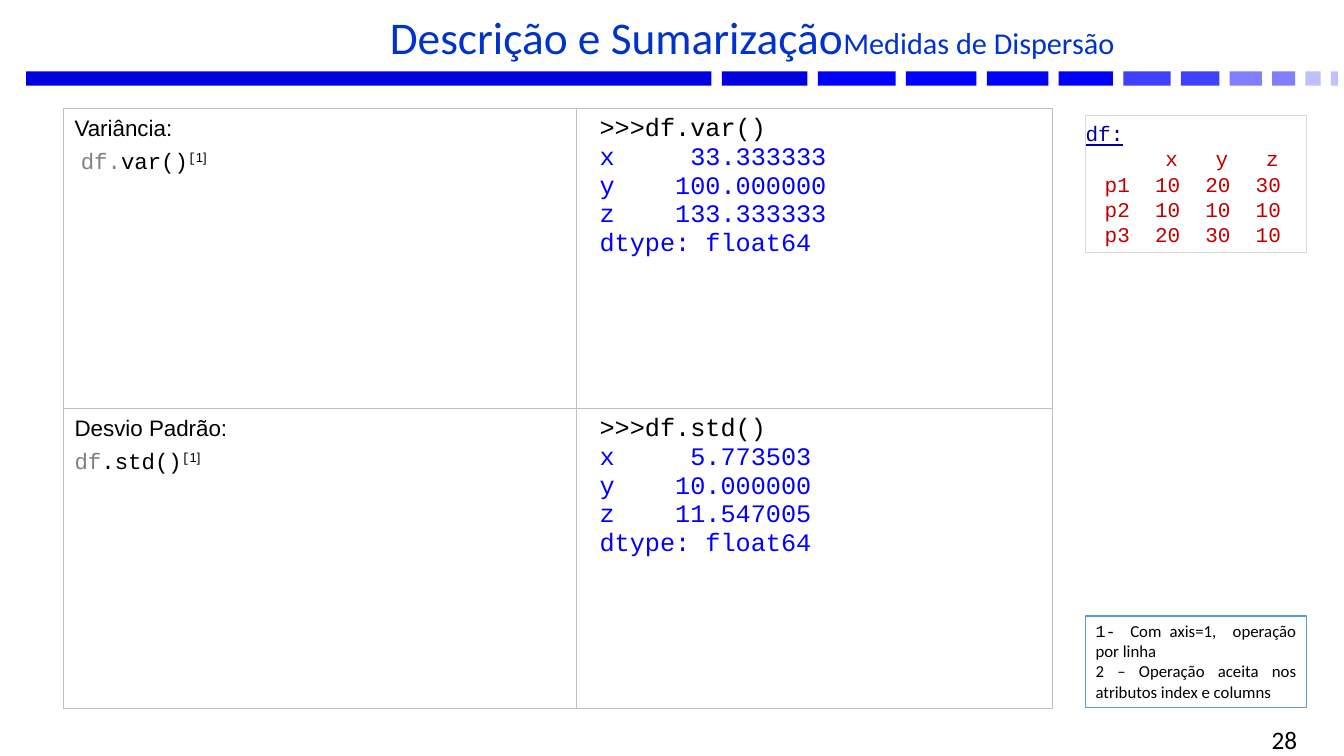
from dataclasses import dataclass, field
from typing import Any

import lxml.etree
import pptx
import pptx.dml.color
import pptx.enum.shapes
import pptx.enum.text
import pptx.oxml.ns
import pptx.util

Cm = pptx.util.Cm
Pt = pptx.util.Pt
Align = pptx.enum.text.PP_ALIGN
Anchor = pptx.enum.text.MSO_ANCHOR
AutoSize = pptx.enum.text.MSO_AUTO_SIZE
RECTANGLE = pptx.enum.shapes.MSO_SHAPE.RECTANGLE
qn = pptx.oxml.ns.qn

BLACK, BLUE, GREY, RED = "000000", "0000FF", "808080", "C00000"
CODE, SANS, BODY = "Courier New", "Arial", "Calibri"


@dataclass
class Span:
    text: str
    size: float
    font: str
    color: str = BLACK
    underline: bool = False
    raised: bool = False


@dataclass
class Para:
    spans: list[Span]
    formats: dict[str, Any] = field(default_factory=dict)
    indent: float = 0


@dataclass
class Bar:
    width: float
    color: str


@dataclass
class Measure:
    label: str
    call: list[Span]
    output: list[str]


@dataclass
class Panel:
    top: float
    height: float
    line: str
    line_width: float
    side_inset: float
    paras: list[Para]
    fill: str = ""


def rgb(color: str) -> pptx.dml.color.RGBColor:
    return pptx.dml.color.RGBColor.from_string(color)


def apply(target: Any, formats: dict[str, Any]) -> None:
    for name, value in formats.items():
        setattr(target, name, value)


def write(frame: Any, paras: list[Para]) -> None:
    for index, item in enumerate(paras):
        para = frame.paragraphs[0] if index == 0 else frame.add_paragraph()
        apply(para, item.formats)
        if item.indent:
            para._p.get_or_add_pPr().set("indent", str(Cm(item.indent)))
        for part in item.spans:
            span = para.add_run()
            span.text = part.text
            apply(span.font, {"size": Pt(part.size), "name": part.font,
                              "underline": part.underline})
            span.font.color.rgb = rgb(part.color)
            if part.raised:
                span._r.get_or_add_rPr().set("baseline", "30000")


def border(cell: Any, color: str, width: float) -> None:
    properties = cell._tc.get_or_add_tcPr()
    for side in ("lnL", "lnR", "lnT", "lnB"):
        line = lxml.etree.SubElement(properties, qn(f"a:{side}"), w=str(Pt(width)))
        fill = lxml.etree.SubElement(line, qn("a:solidFill"))
        lxml.etree.SubElement(fill, qn("a:srgbClr"), val=color)


def draw_bars(page: Any, bars: list[Bar]) -> None:
    left = 0.66
    for bar in bars:
        box = page.shapes.add_shape(RECTANGLE, Cm(left), Cm(1.8), Cm(bar.width), Cm(0.36))
        box.shadow.inherit = False
        box.fill.solid()
        box.fill.fore_color.rgb = rgb(bar.color)
        box.line.fill.background()
        left += bar.width + 0.26


def draw_title(page: Any) -> None:
    title = page.shapes.title
    apply(title, {"left": Cm(4.72), "top": Cm(0.36), "width": Cm(28.47), "height": Cm(1.37)})
    apply(title.text_frame, {"vertical_anchor": Anchor.MIDDLE, "word_wrap": True,
                             "auto_size": AutoSize.NONE})
    write(title.text_frame, [Para(
        [Span("Descrição e Sumarização\t", 32.4, BODY, "0033CC"),
         Span("Medidas de Dispersão", 21.6, BODY, "0033CC")],
        {"alignment": Align.CENTER, "line_spacing": 0.8, "space_before": Pt(6)})])


def draw_number(page: Any) -> None:
    box = page.shapes.add_textbox(Cm(25.04), Cm(18.36), Cm(7.9), Cm(0.56))
    apply(box.text_frame, {"vertical_anchor": Anchor.MIDDLE, "word_wrap": True,
                           "margin_top": 0, "margin_bottom": 0})
    write(box.text_frame, [Para([Span("28", 18, BODY)], {"alignment": Align.RIGHT})])


def draw_measures(page: Any, measures: list[Measure]) -> None:
    widths, height = (12.93, 12.01), 7.56
    table = page.shapes.add_table(len(measures), len(widths), Cm(1.58), Cm(2.72),
                                  Cm(sum(widths)), Cm(height * len(measures))).table
    apply(table, {"first_row": False, "horz_banding": False})
    for column, width in zip(table.columns, widths):
        column.width = Cm(width)
    spaced = {"space_before": Pt(6)}
    note = [Span("[", 16, CODE, raised=True), Span("1]", 16, SANS, raised=True)]
    for row, measure in zip(table.rows, measures):
        row.height = Cm(height)
        prompt, *results = measure.output
        contents = (
            [Para([Span(measure.label, 16, SANS)], spaced), Para(measure.call + note, spaced)],
            [Para([Span(prompt, 18, CODE)])]
            + [Para([Span(text, 18, CODE, BLUE)]) for text in results],
        )
        for cell, paras, inset in zip(row.cells, contents, (0.3, 0.6)):
            border(cell, "BFBFBF", 0.25)
            cell.fill.background()
            apply(cell, {"margin_left": Cm(inset), "margin_top": Cm(0.2),
                         "margin_right": 0, "margin_bottom": 0})
            write(cell.text_frame, paras)


def draw_panel(page: Any, panel: Panel) -> None:
    box = page.shapes.add_shape(RECTANGLE, Cm(27.36), Cm(panel.top), Cm(5.56), Cm(panel.height))
    box.shadow.inherit = False
    if panel.fill:
        box.fill.solid()
        box.fill.fore_color.rgb = rgb(panel.fill)
    else:
        box.fill.background()
    box.line.color.rgb = rgb(panel.line)
    box.line.width = Pt(panel.line_width)
    apply(box.text_frame, {"vertical_anchor": Anchor.TOP, "word_wrap": True,
                           "auto_size": AutoSize.SHAPE_TO_FIT_TEXT,
                           "margin_left": Cm(panel.side_inset),
                           "margin_right": Cm(panel.side_inset)})
    write(box.text_frame, panel.paras)


BARS = [Bar(17.27, "0000E0"), Bar(2.16, "0000E0"), Bar(1.96, BLUE), Bar(1.78, BLUE),
        Bar(1.55, BLUE), Bar(1.37, BLUE), Bar(1.19, "4040FF"), Bar(0.97, "4040FF"),
        Bar(0.81, "8080FF"), Bar(0.58, "8080FF"), Bar(0.38, "C0C0FF"), Bar(0.18, "C0C0FF")]

MEASURES = [
    Measure("Variância:",
            [Span(" ", 16, SANS, GREY), Span("df.", 16, CODE, GREY), Span("var()", 16, CODE)],
            [">>>df.var()", "x     33.333333", "y    100.000000", "z    133.333333",
             "dtype: float64"]),
    Measure("Desvio Padrão:",
            [Span("df", 16, CODE, GREY), Span(".std()", 16, CODE)],
            [">>>df.std()", "x     5.773503", "y    10.000000", "z    11.547005",
             "dtype: float64"]),
]

FRAME_ROWS = ["p1  10  20  30", "p2  10  10  10", "p3  20  30  10"]
JUSTIFIED = {"alignment": Align.JUSTIFY}
PANELS = [
    Panel(2.92, 3.45, "D9D9D9", 0.75, 0,
          [Para([Span("df:", 15, CODE, "000099", underline=True)], {"alignment": Align.LEFT}),
           Para([Span("    x   y   z", 15, CODE, RED)], {"alignment": Align.LEFT}, 0.74)]
          + [Para([Span(text, 15, CODE, RED)], {"alignment": Align.LEFT}, 0.48)
             for text in FRAME_ROWS]),
    Panel(15.52, 2.31, "5B9BD5", 1, 0.25,
          [Para([Span("1- ", 12, CODE), Span("Com axis=1,  operação por linha", 12, BODY)],
                JUSTIFIED),
           Para([Span("2 – Operação aceita nos atributos index e columns", 12, BODY)],
                JUSTIFIED)],
          "FFFFFF"),
]


def main() -> None:
    deck = pptx.Presentation()
    apply(deck, {"slide_width": Cm(33.87), "slide_height": Cm(19.05)})
    page = deck.slides.add_slide(deck.slide_layouts[5])
    draw_bars(page, BARS)
    draw_title(page)
    draw_number(page)
    draw_measures(page, MEASURES)
    for panel in PANELS:
        draw_panel(page, panel)
    deck.save("out.pptx")


if __name__ == "__main__":
    main()
